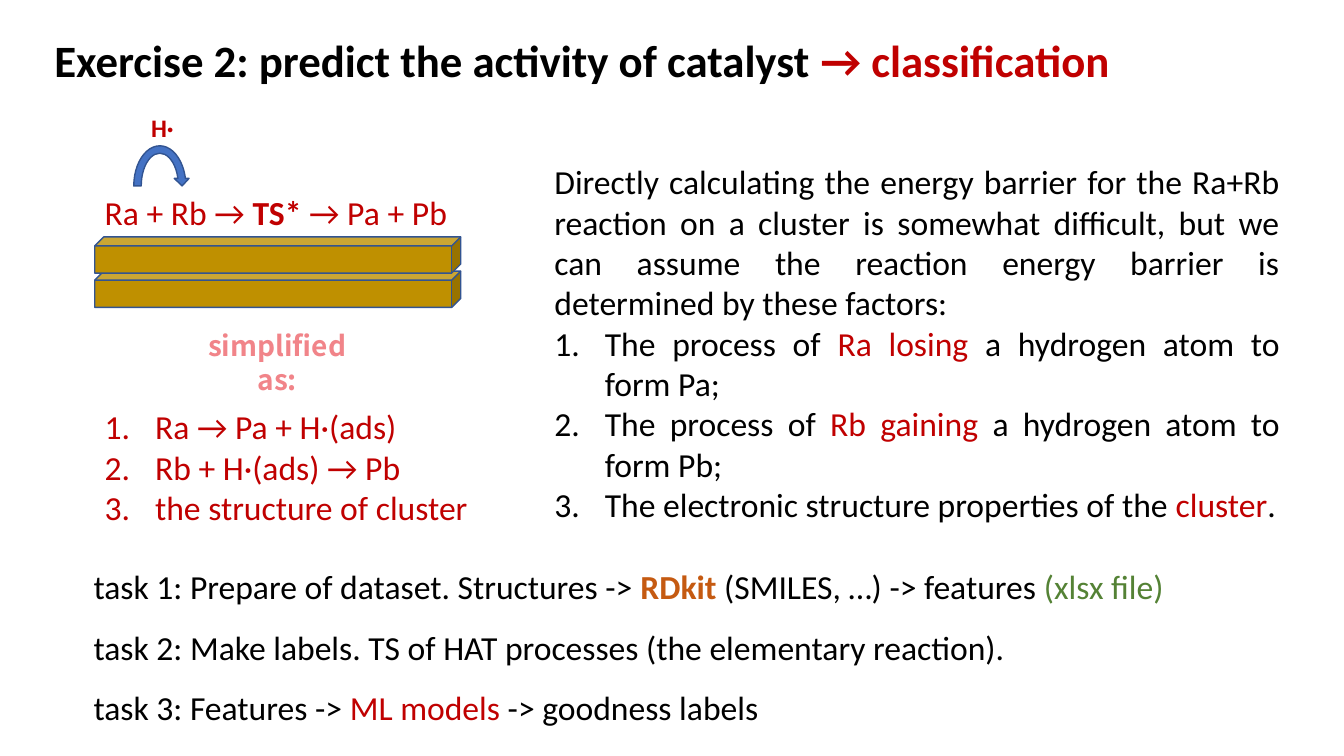
from dataclasses import dataclass

import pptx
import pptx.dml.color
import pptx.enum.shapes
import pptx.enum.text
import pptx.oxml.ns
import pptx.presentation
import pptx.slide
import pptx.text.text
import pptx.util
from lxml import etree

Inches = pptx.util.Inches
Pt = pptx.util.Pt
RGBColor = pptx.dml.color.RGBColor
Align = pptx.enum.text.PP_ALIGN
Preset = pptx.enum.shapes.MSO_SHAPE

BLACK = RGBColor(0x00, 0x00, 0x00)
RED = RGBColor(0xC0, 0x00, 0x00)
PINK = RGBColor(0xF1, 0x84, 0x89)
ORANGE = RGBColor(0xC5, 0x5A, 0x11)
GREEN = RGBColor(0x54, 0x82, 0x35)
GOLD = RGBColor(0xBF, 0x90, 0x00)
BLUE = RGBColor(0x44, 0x72, 0xC4)
OUTLINE = RGBColor(0x32, 0x54, 0x91)


@dataclass(frozen=True)
class Span:
    text: str
    color: RGBColor = BLACK
    bold: bool = False


@dataclass(frozen=True)
class Para:
    spans: tuple[Span, ...]
    numbered: bool = False


@dataclass(frozen=True)
class TextBlock:
    left: float
    top: float
    width: float
    height: float
    paras: tuple[Para, ...]
    size: int = 24
    font: str = "Calibri"
    wrap: bool = False
    align: Align = Align.LEFT
    spacing: float | pptx.util.Length | None = None


@dataclass(frozen=True)
class Figure:
    preset: Preset
    left: float
    top: float
    width: float
    height: float
    fill: RGBColor


TITLE = TextBlock(0.44, 0.28, 10.77, 0.64, (
    Para((
        Span("Exercise 2: predict the activity of catalyst", bold=True),
        Span(" → classification", RED, True),
    )),
), size=32)

EXPLANATION = TextBlock(5.4, 1.55, 7.39, 3.74, (
    Para((Span(
        "Directly calculating the energy barrier for the Ra+Rb reaction on a "
        "cluster is somewhat difficult, but we can assume the reaction energy "
        "barrier is determined by these factors:"
    ),)),
    Para((
        Span("The process of "),
        Span("Ra losing ", RED),
        Span("a hydrogen atom to form Pa;"),
    ), numbered=True),
    Para((
        Span("The process of "),
        Span("Rb gaining ", RED),
        Span("a hydrogen atom to form Pb;"),
    ), numbered=True),
    Para((
        Span("The electronic structure properties of the "),
        Span("cluster", RED),
        Span("."),
    ), numbered=True),
), wrap=True, align=Align.JUSTIFY)

REACTION = TextBlock(0.94, 1.85, 3.63, 0.5, (
    Para((
        Span("Ra + Rb → ", RED),
        Span("TS*", RED, True),
        Span(" → Pa + Pb", RED),
    )),
))

HYDROGEN = TextBlock(
    1.4, 1.07, 0.48, 0.4, (Para((Span("H·", RED, True),)),), size=18, wrap=True
)

STEPS = TextBlock(0.94, 3.98, 3.84, 1.31, tuple(
    Para((Span(step, RED),), numbered=True)
    for step in ("Ra → Pa + H·(ads)", "Rb + H·(ads) → Pb", "the structure of cluster")
))

SIMPLIFIED = TextBlock(1.66, 3.21, 2.18, 0.77, tuple(
    Para((Span(line, PINK, True),)) for line in ("simplified", "as:")
), size=20, font="Noto Sans CJK SC", wrap=True, align=Align.CENTER, spacing=Pt(24))

TASKS = TextBlock(0.83, 5.37, 10.84, 1.86, (
    Para((
        Span("task 1: Prepare of dataset. Structures -> "),
        Span("RDkit", ORANGE, True),
        Span(" (SMILES, …) -> features "),
        Span("(xlsx file)", GREEN),
    )),
    Para((Span("task 2: Make labels. TS of HAT processes (the elementary reaction)."),)),
    Para((
        Span("task 3: Features -> "),
        Span("ML models ", RED),
        Span("-> goodness labels"),
    )),
), spacing=1.5)

LOWER_SLAB, UPPER_SLAB = (
    Figure(Preset.CUBE, 0.94, top, 3.63, 0.36, GOLD) for top in (2.69, 2.35)
)
TRANSFER_ARROW = Figure(Preset.CIRCULAR_ARROW, 1.29, 1.41, 0.59, 0.87, BLUE)

CONTENT: tuple[TextBlock | Figure, ...] = (
    TITLE, EXPLANATION, LOWER_SLAB, REACTION, TRANSFER_ARROW,
    HYDROGEN, UPPER_SLAB, STEPS, SIMPLIFIED, TASKS,
)


def number_paragraph(paragraph: pptx.text.text._Paragraph) -> None:
    properties = paragraph._p.get_or_add_pPr()
    properties.set("marL", str(Inches(0.5)))
    properties.set("indent", str(-Inches(0.5)))
    number = etree.SubElement(properties, pptx.oxml.ns.qn("a:buAutoNum"))
    number.set("type", "arabicPeriod")


def draw_text(slide: pptx.slide.Slide, block: TextBlock) -> None:
    box = slide.shapes.add_textbox(
        Inches(block.left), Inches(block.top), Inches(block.width), Inches(block.height)
    )
    frame = box.text_frame
    frame.word_wrap = block.wrap
    frame.auto_size = pptx.enum.text.MSO_AUTO_SIZE.SHAPE_TO_FIT_TEXT
    for index, para in enumerate(block.paras):
        paragraph = frame.add_paragraph() if index else frame.paragraphs[0]
        if para.numbered:
            number_paragraph(paragraph)
        paragraph.alignment = block.align
        if block.spacing is not None:
            paragraph.line_spacing = block.spacing
        for span in para.spans:
            run = paragraph.add_run()
            run.text = span.text
            run.font.name = block.font
            run.font.size = Pt(block.size)
            run.font.bold = span.bold
            run.font.color.rgb = span.color


def draw_figure(slide: pptx.slide.Slide, figure: Figure) -> None:
    shape = slide.shapes.add_shape(
        figure.preset, Inches(figure.left), Inches(figure.top),
        Inches(figure.width), Inches(figure.height),
    )
    shape.shadow.inherit = False
    shape.fill.solid()
    shape.fill.fore_color.rgb = figure.fill
    shape.line.color.rgb = OUTLINE
    shape.line.width = Pt(1)


def build_deck() -> pptx.presentation.Presentation:
    deck = pptx.Presentation()
    deck.slide_width = Inches(13.33)
    deck.slide_height = Inches(7.5)
    slide = deck.slides.add_slide(deck.slide_layouts[6])
    for item in CONTENT:
        if isinstance(item, TextBlock):
            draw_text(slide, item)
        else:
            draw_figure(slide, item)
    return deck


if __name__ == "__main__":
    build_deck().save("out.pptx")
